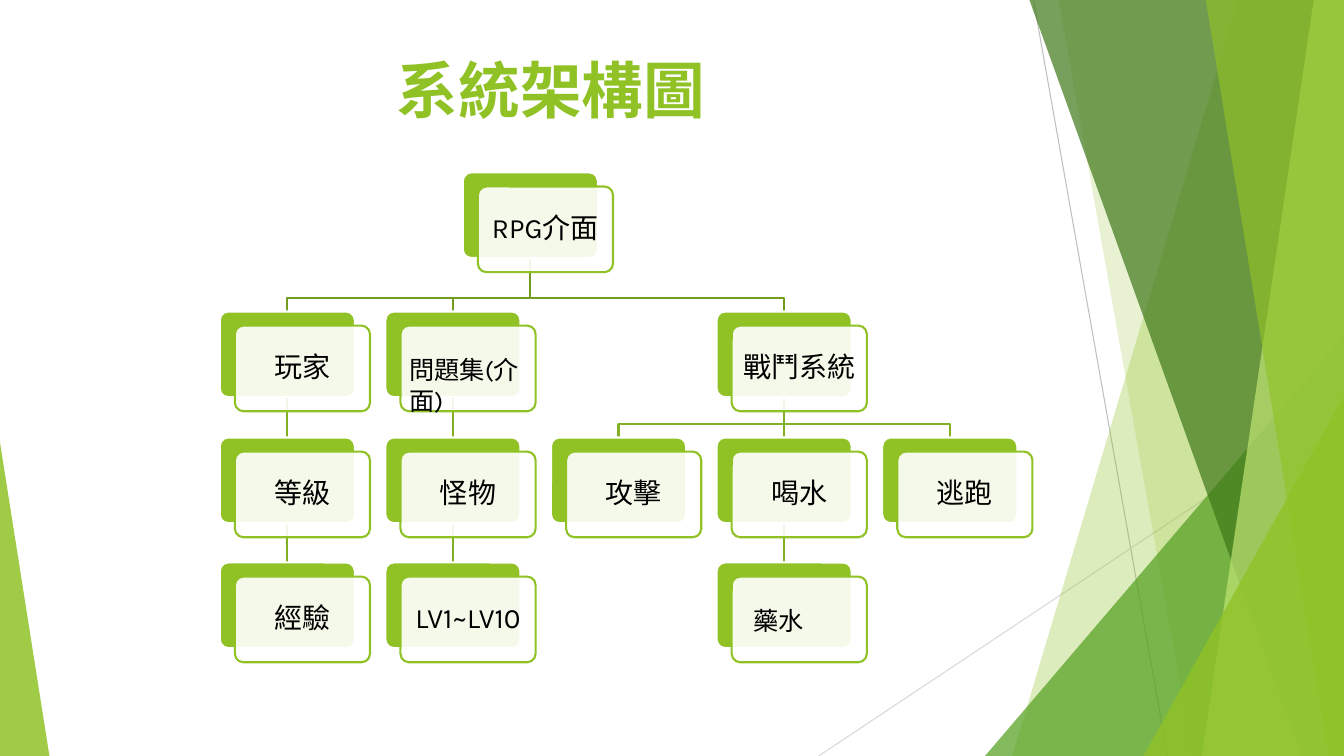
from lxml import etree
from pptx import Presentation
from pptx.dml.color import RGBColor
from pptx.enum.shapes import MSO_CONNECTOR, MSO_SHAPE
from pptx.enum.text import MSO_ANCHOR, MSO_AUTO_SIZE, PP_ALIGN
from pptx.oxml.ns import qn
from pptx.util import Inches, Pt

STRAIGHT = MSO_CONNECTOR.STRAIGHT
TRIANGLE = MSO_SHAPE.ISOSCELES_TRIANGLE
ROUNDED = MSO_SHAPE.ROUNDED_RECTANGLE
TOP, MIDDLE = MSO_ANCHOR.TOP, MSO_ANCHOR.MIDDLE
LEFT, CENTER = PP_ALIGN.LEFT, PP_ALIGN.CENTER
GROW = MSO_AUTO_SIZE.SHAPE_TO_FIT_TEXT

FONT = "Karla"
GREEN, WHITE, BLACK = "90C226", "FFFFFF", "000000"
ROOT_LINE, BRANCH_LINE = "739B1E", "83B022"

CARD_W, CARD_H = 1.34, 0.85
OFFSET_X, OFFSET_Y = 0.15, 0.14
ELBOW_RISE = 0.13
ROW_TOPS = [1.71, 3.09, 4.34, 5.58]
FIRST_COLUMN, LAST_COLUMN, COLUMNS = 2.18, 8.75, 5
ROOT_COLUMN = 4.59

# key: (column, row, parent, card text); None leaves the card to a separate label
NODES = {
    "root": (None, 0, None, "RPG介面"),
    "player": (0, 1, "root", "玩家"),
    "level": (0, 2, "player", "等級"),
    "experience": (0, 3, "level", "經驗"),
    "questions": (1, 1, "root", None),
    "monster": (1, 2, "questions", "怪物"),
    "monster_level": (1, 3, "monster", "LV1~LV10"),
    "battle": (3, 1, "root", "戰鬥系統"),
    "attack": (2, 2, "battle", "攻擊"),
    "drink": (3, 2, "battle", "喝水"),
    "potion": (3, 3, "drink", None),
    "escape": (4, 2, "battle", "逃跑"),
}


def rgb(color):
    return RGBColor.from_string(color)


def paint(sp, fill=None, alpha=100, line=None, width=1.5):
    """Set fill, opacity in percent and outline; None means no fill or no line."""
    sp.shadow.inherit = False
    if fill:
        sp.fill.solid()
        sp.fill.fore_color.rgb = rgb(fill)
        if alpha < 100:
            clr = sp._element.spPr.find(qn("a:solidFill"))[0]
            etree.SubElement(clr, qn("a:alpha"), val=str(alpha * 1000))
    else:
        sp.fill.background()
    if line:
        sp.line.color.rgb = rgb(line)
        sp.line.width = Pt(width)
    else:
        sp.line.fill.background()


def write(sp, text, size, color=BLACK, bold=False, align=LEFT, spacing=1.0, **frame):
    tf = sp.text_frame
    for name, value in {"word_wrap": True, **frame}.items():
        setattr(tf, name, value)
    p = tf.paragraphs[0]
    p.alignment, p.line_spacing = align, spacing
    r = p.add_run()
    r.text = text
    for name, value in {"name": FONT, "size": Pt(size), "bold": bold}.items():
        setattr(r.font, name, value)
    r.font.color.rgb = rgb(color)


def add_label(s, box, text, size, **style):
    write(s.shapes.add_textbox(*map(Inches, box)), text, size, **style)


def add_line(s, start, end, color, width):
    c = s.shapes.add_connector(STRAIGHT, *map(Inches, start + end))
    c.line.color.rgb = rgb(color)
    c.line.width = Pt(width)
    etree.SubElement(c._element.spPr, qn("a:effectLst"))


def add_path(s, points, close, **style):
    points = [(Inches(x), Inches(y)) for x, y in points]
    builder = s.shapes.build_freeform(*points[0])
    builder.add_line_segments(points[1:], close=close)
    paint(builder.convert_to_shape(), **style)


def add_band(s, top_left, bottom_left, color, alpha):
    """Full-height band that runs from a slanted left edge to the slide's right edge."""
    points = [(top_left, 0), (13.33, 0), (13.33, 7.5), (bottom_left, 7.5)]
    add_path(s, points, True, fill=color, alpha=alpha)


def add_triangle(s, box, apex, color, alpha):
    sp = s.shapes.add_shape(TRIANGLE, *map(Inches, box))
    sp.adjustments[0] = apex
    paint(sp, fill=color, alpha=alpha)


def add_backdrop(s):
    add_line(s, (10.25, 0), (11.58, 7.5), "BFBFBF", 0.75)
    add_line(s, (13.33, 4.03), (8.12, 7.5), "D9D9D9", 0.75)
    add_band(s, 12.28, 10.04, GREEN, 30)
    add_band(s, 10.5, 11.83, GREEN, 20)
    add_triangle(s, (9.77, 3.33, 3.56, 4.17), 1, "54A021", 72)
    add_band(s, 10.21, 12.91, "3F7819", 70)
    add_band(s, 13.03, 11.92, "C0E474", 70)
    add_band(s, 11.96, 13.18, GREEN, 65)
    add_triangle(s, (11.34, 3.93, 1.99, 3.57), 1, GREEN, 80)
    add_triangle(s, (0, 4.39, 0.49, 3.11), 0, GREEN, 85)


def node_corner(key):
    column, row = NODES[key][:2]
    if column is None:
        return ROOT_COLUMN, ROW_TOPS[row]
    pitch = (LAST_COLUMN - FIRST_COLUMN) / (COLUMNS - 1)
    return FIRST_COLUMN + column * pitch, ROW_TOPS[row]


def add_branch(s, parent, child):
    x1, y1 = node_corner(parent)
    x2, y2 = node_corner(child)
    x1, x2, y1 = x1 + CARD_W / 2, x2 + CARD_W / 2, y1 + CARD_H
    color = ROOT_LINE if parent == "root" else BRANCH_LINE
    if x1 == x2:
        add_line(s, (x1, y1), (x2, y2), color, 1.5)
    else:
        elbow = y2 - ELBOW_RISE
        points = [(x1, y1), (x1, elbow), (x2, elbow), (x2, y2)]
        add_path(s, points, False, line=color)


def add_card(s, x, y, **style):
    sp = s.shapes.add_shape(ROUNDED, *map(Inches, (x, y, CARD_W, CARD_H)))
    sp.adjustments[0] = 0.1
    paint(sp, **style)
    return sp


def add_node(s, key, text):
    x, y = node_corner(key)
    add_card(s, x, y, fill=GREEN, line=WHITE)
    front = add_card(s, x + OFFSET_X, y + OFFSET_Y, fill=WHITE, alpha=90, line=GREEN)
    if text:
        inset = Inches(0.07)
        write(front, text, 20, align=CENTER, spacing=0.9, vertical_anchor=MIDDLE,
              margin_left=inset, margin_right=inset,
              margin_top=inset, margin_bottom=inset)


def main():
    prs = Presentation()
    prs.slide_width, prs.slide_height = Inches(13.33), Inches(7.5)
    s = prs.slides.add_slide(prs.slide_layouts[6])
    add_backdrop(s)
    add_label(s, (0.8, 0.47, 9.33, 1.21), "系統架構圖", 44, color=GREEN,
              bold=True, align=CENTER, vertical_anchor=TOP)
    for key, (_, _, parent, _) in NODES.items():
        if parent:
            add_branch(s, parent, key)
    for key, (_, _, _, text) in NODES.items():
        add_node(s, key, text)
    add_label(s, (3.96, 3.47, 1.55, 0.4), "問題集(介面)", 18, auto_size=GROW)
    add_label(s, (7.37, 5.96, 0.79, 0.4), "藥水", 18, auto_size=GROW)
    prs.save("out.pptx")


if __name__ == "__main__":
    main()
